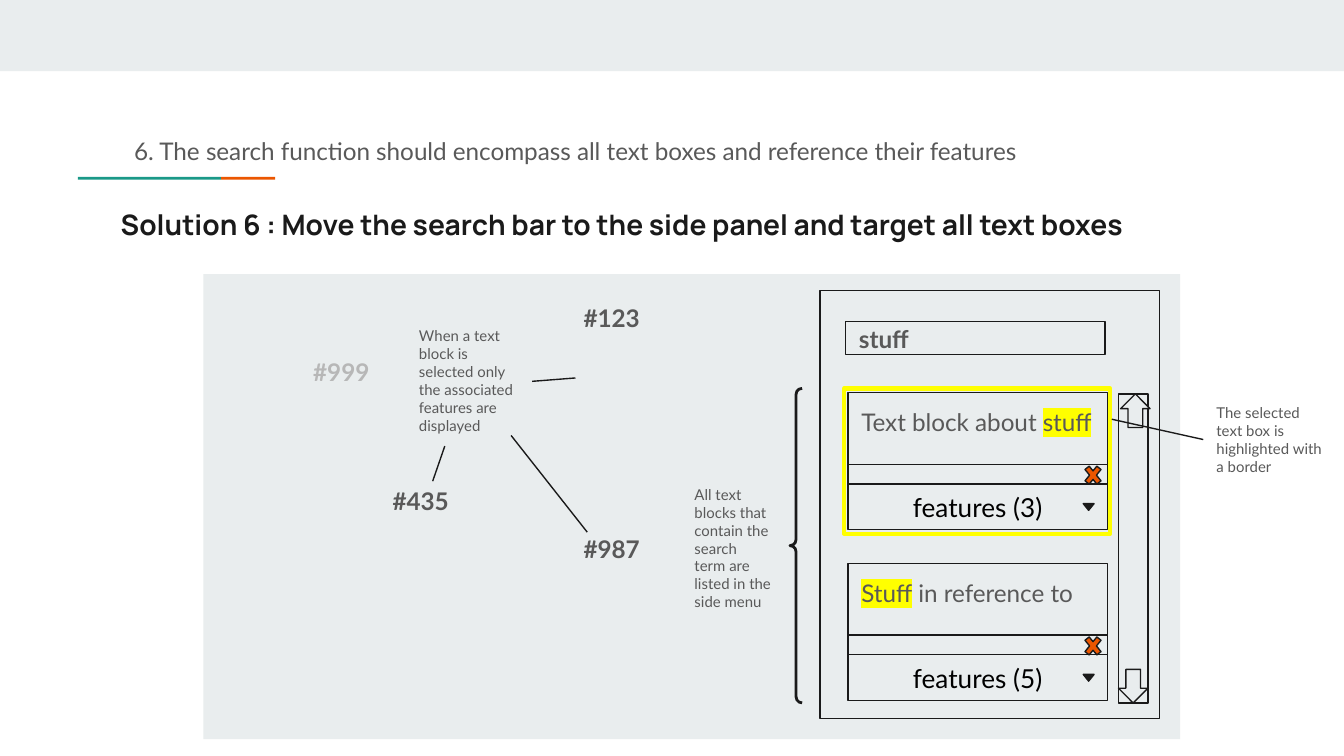
from lxml.etree import SubElement
from pptx import Presentation
from pptx.dml.color import RGBColor
from pptx.enum.shapes import MSO_CONNECTOR as Link, MSO_SHAPE as Form
from pptx.enum.text import MSO_ANCHOR as Anchor, PP_ALIGN as Align
from pptx.oxml.ns import qn
from pptx.util import Pt

INK, GREY, PALE = "1A1A1A", "595959", "E9EDEE"
TEAL, ORANGE, YELLOW = "1A9988", "EB5600", "FFFF00"


def color(code):
    return RGBColor.from_string(code)


class Board:
    def __init__(self, slide):
        self.slide = slide
        self.face = "Lato"
        self.pad = Pt(7.2)

    def shape(self, form, x, y, w, h, fill=PALE, line=INK, width=0.75):
        item = self.slide.shapes.add_shape(form, Pt(x), Pt(y), Pt(w), Pt(h))
        item.shadow.inherit = False
        if fill:
            item.fill.solid()
            item.fill.fore_color.rgb = color(fill)
        else:
            item.fill.background()
        if line:
            item.line.color.rgb = color(line)
            item.line.width = Pt(width)
        else:
            item.line.fill.background()
        return item

    def rect(self, *box, **style):
        return self.shape(Form.RECTANGLE, *box, **style)

    def label(self, item, text, size, ink=GREY, bold=False, align=Align.LEFT,
              face=None, mark=None):
        """Fill a shape with one paragraph, with the word in mark highlighted."""
        frame = item.text_frame
        frame.word_wrap = True
        frame.margin_left = frame.margin_right = self.pad
        frame.margin_top = frame.margin_bottom = self.pad
        para = frame.paragraphs[0]
        para.alignment = align
        font = para.font
        font.name, font.size, font.bold = face or self.face, Pt(size), bold
        font.color.rgb = color(ink)
        head, word, tail = text.partition(mark) if mark else (text, "", "")
        for part in filter(None, (head, word, tail)):
            run = para.add_run()
            run.text = part
            if part == mark:
                glow = SubElement(run._r.get_or_add_rPr(), qn("a:highlight"))
                SubElement(glow, qn("a:srgbClr"), val=YELLOW)
        return para

    def text(self, x, y, w, h, text, size=13, **style):
        box = self.slide.shapes.add_textbox(Pt(x), Pt(y), Pt(w), Pt(h))
        return self.label(box, text, size, **style)

    def line(self, *ends):
        item = self.slide.shapes.add_connector(Link.STRAIGHT, *map(Pt, ends))
        item.line.color.rgb = color(INK)
        item.line.width = Pt(0.75)
        SubElement(item._element.spPr, qn("a:effectLst"))

    def card(self, y, text, mark, count):
        """Draw a search result with its delete strip and feature menu."""
        x, w = 454.3, 139
        self.rect(x, y, w, 49)
        menu = self.rect(x, y + 49, w, 24.5)
        menu.text_frame.vertical_anchor = Anchor.MIDDLE
        self.label(menu, f"features ({count})", 14, ink="000000",
                   align=Align.CENTER)
        self.text(x, y + 0.9, 220, 46, text, mark=mark)
        self.shape(Form.FLOWCHART_MERGE, x + 126, y + 59.5, 5.8, 3.6, fill=INK)
        self.rect(x, y + 38.4, w, 10.6)
        self.shape(Form.MATH_MULTIPLY, x + 125.2, y + 36.7, 12.2, 15.1,
                   fill=ORANGE)


def main():
    deck = Presentation()
    deck.slide_width, deck.slide_height = Pt(720), Pt(405)
    board = Board(deck.slides.add_slide(deck.slide_layouts[6]))

    board.rect(0, 0, 720, 38.2, line=None)
    board.rect(41.8, 94.7, 76.6, 1.5, fill=TEAL, line=None)
    board.rect(118.4, 94.7, 29, 1.5, fill=ORANGE, line=None)
    board.text(57.6, 103.7, 605.5, 42.5,
               "Solution 6 : Move the search bar to the side panel "
               "and target all text boxes",
               size=15.1, ink=INK, bold=True, face="Manrope")
    lead = board.text(64.8, 63.4, 630, 30.2,
                      "6. The search function should encompass all text boxes "
                      "and reference their features")
    lead.line_spacing = 1.15
    lead.space_after = Pt(12)

    board.rect(108.9, 146.9, 523.3, 249.1, line=None)
    board.rect(439.2, 155.5, 182, 229.5)
    board.rect(452.2, 208.1, 142.6, 77.8, line=YELLOW, width=2.25)
    board.rect(453.1, 172.1, 139, 18)
    board.text(453.1, 166.3, 255.6, 30.2, "stuff", bold=True)
    board.card(210.3, "Text block about stuff", "stuff", 3)
    board.card(301.8, "Stuff in reference to", "Stuff", 5)

    board.rect(599.2, 211, 15.8, 165.6)
    board.shape(Form.DOWN_ARROW, 599.2, 358.6, 15.8, 18)
    board.shape(Form.DOWN_ARROW, 600.3, 211, 15.8, 18).rotation = 180

    tags = [("#123", 293.8, 155.5, GREY), ("#987", 293.8, 279, GREY),
            ("#435", 191.5, 253.4, GREY), ("#999", 149, 184.3, "B7B7B7")]
    for name, x, y, ink in tags:
        board.text(x, y, 67.7, 30.2, name, ink=ink, bold=True,
                   align=Align.CENTER)

    notes = [
        (644.6, 209, 72, 53.3,
         "The selected text box is highlighted with a border"),
        (217.4, 167.8, 67.7, 72.7,
         "When a text block is selected only the associated features "
         "are displayed"),
        (365, 252.9, 55.4, 82,
         "All text blocks that contain the search term are listed in "
         "the side menu")]
    for note in notes:
        board.text(*note, size=8)

    brace = board.shape(Form.LEFT_BRACE, 423.2, 208.1, 6.5, 168.5, fill=None,
                        width=1.5)
    brace.adjustments[0] = 0.5
    for ends in [(595.6, 224.6, 644.6, 235.5), (238.3, 239, 231.8, 257.8),
                 (285.1, 204.3, 308.3, 202.5), (314.6, 285.1, 273.8, 233.3)]:
        board.line(*ends)

    deck.save("out.pptx")


if __name__ == "__main__":
    main()
